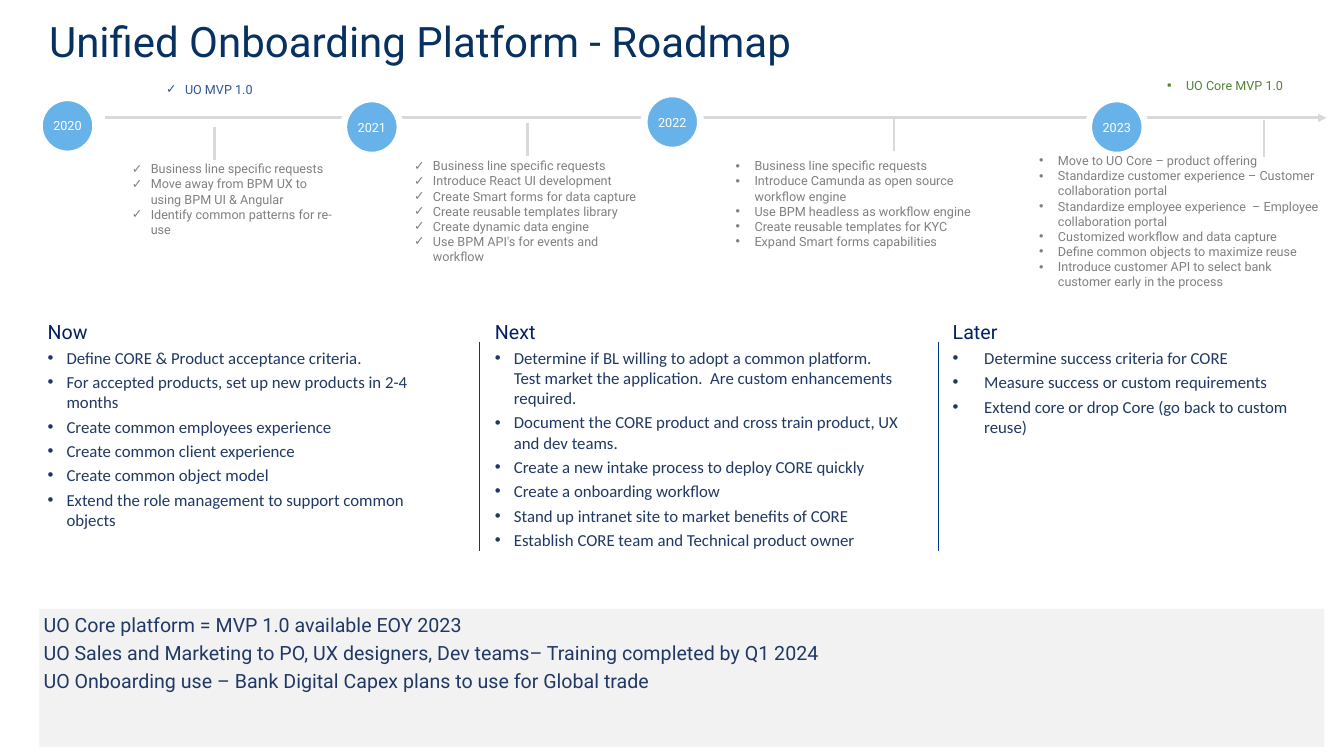
"""Build the roadmap slide: yearly timeline, now/next/later plans and a summary band."""
from lxml import etree
from pptx import Presentation
from pptx.dml.color import RGBColor
from pptx.enum.shapes import MSO_CONNECTOR, MSO_SHAPE
from pptx.enum.text import MSO_ANCHOR, PP_ALIGN
from pptx.oxml.ns import qn
from pptx.util import Pt

OVAL, RECT = MSO_SHAPE.OVAL, MSO_SHAPE.RECTANGLE
LINE = MSO_CONNECTOR.STRAIGHT
TOP, MIDDLE = MSO_ANCHOR.TOP, MSO_ANCHOR.MIDDLE
LEFT, CENTER = PP_ALIGN.LEFT, PP_ALIGN.CENTER

WHITE = RGBColor(0xFF, 0xFF, 0xFF)
NAVY = RGBColor(0x06, 0x31, 0x61)
HEAD = RGBColor(0x00, 0x20, 0x60)
INK = RGBColor(0x20, 0x38, 0x64)
RULE = RGBColor(0x00, 0x3C, 0x84)
SKY = RGBColor(0x67, 0xB2, 0xE8)
GRAY = RGBColor(0x80, 0x80, 0x80)
PALE = RGBColor(0xD9, 0xD9, 0xD9)
BAND = RGBColor(0xF2, 0xF2, 0xF2)
BLUE = RGBColor(0x2F, 0x55, 0x97)
GREEN = RGBColor(0x54, 0x82, 0x35)

TITLE = "Unified Onboarding Platform - Roadmap"

YEARS = [
    ("2020", 28.1, 69.8),
    ("2021", 245.5, 70.6),
    ("2022", 460.1, 67),
    ("2023", 777.6, 70.6),
]

TICKS = [(153.4, 90.7, 114.5), (376.6, 87.8, 111.6), (638.6, 84.2, 108), (902.9, 85.7, 112.3)]

STEPS = [
    (87.1, 111.6, 162, 73, "✓", GRAY, [
        "Business line specific requests",
        "Move away from BPM UX to using BPM UI & Angular",
        "Identify common patterns for re-use",
    ]),
    (288.7, 109.4, 183.6, 127, "✓", GRAY, [
        "Business line specific requests",
        "Introduce React UI development",
        "Create Smart forms for data capture",
        "Create reusable templates library",
        "Create dynamic data engine",
        "Use BPM API's for events and workflow",
    ]),
    (518.4, 109.4, 187.9, 105, "•", GRAY, [
        "Business line specific requests",
        "Introduce Camunda as open source workflow engine",
        "Use BPM headless as workflow engine",
        "Create reusable templates for KYC",
        "Expand Smart forms capabilities",
    ]),
    (735.1, 105.8, 213.8, 127, "•", GRAY, [
        "Move to UO Core – product offering",
        "Standardize customer experience – Customer collaboration portal",
        "Standardize employee experience  – Employee collaboration portal",
        "Customized workflow and data capture",
        "Define common objects to maximize reuse",
        "Introduce customer API to select bank customer early in the process",
    ]),
    (111.6, 54.7, 113, 18, "✓", BLUE, ["UO MVP 1.0"]),
    (826.6, 51.8, 106.6, 18, "▪", GREEN, ["UO Core MVP 1.0"]),
]

PLANS = [
    ("Now", 31, 289.4, 205, 13.5, [
        "Define CORE & Product acceptance criteria.",
        "For accepted products, set up new products in 2-4 months",
        "Create common employees experience",
        "Create common client experience",
        "Create common object model",
        "Extend the role management to support common objects",
    ]),
    ("Next", 350.6, 295.2, 188, 13.5, [
        "Determine if BL willing to adopt a common platform.  Test market the application."
        "  Are custom enhancements required.",
        "Document the CORE product and cross train product, UX and dev teams.",
        "Create a new intake process to deploy CORE quickly",
        "Create a onboarding workflow",
        "Stand up intranet site to market benefits of CORE",
        "Establish CORE team and Technical product owner",
    ]),
    ("Later", 677.5, 270, 157, 22.5, [
        "Determine success criteria for CORE",
        "Measure success or custom requirements",
        "Extend core or drop Core (go back to custom reuse)",
    ]),
]

NOTES = [
    "UO Core platform = MVP 1.0 available EOY 2023",
    "UO Sales and Marketing to PO, UX designers, Dev teams– Training completed by Q1 2024",
    "UO Onboarding use – Bank Digital Capex plans to use for Global trade",
]


def setup(shape, pad_x, pad_y, anchor=TOP):
    frame = shape.text_frame
    frame.word_wrap = True
    frame.vertical_anchor = anchor
    frame.margin_left = frame.margin_right = Pt(pad_x)
    frame.margin_top = frame.margin_bottom = Pt(pad_y)
    return frame


def add_box(slide, x, y, w, h, pad_x=7.2, pad_y=3.6):
    return setup(slide.shapes.add_textbox(Pt(x), Pt(y), Pt(w), Pt(h)), pad_x, pad_y)


def add_form(slide, kind, x, y, w, h, fill):
    shape = slide.shapes.add_shape(kind, Pt(x), Pt(y), Pt(w), Pt(h))
    shape.shadow.inherit = False
    shape.fill.solid()
    shape.fill.fore_color.rgb = fill
    shape.line.fill.background()
    return shape


def write(frame, rows, size, color, face="Roboto", after=0, mark=None, indent=0, align=LEFT):
    for row in rows:
        para = frame.paragraphs[0]
        if para.text:
            para = frame.add_paragraph()
        para.text = row
        para.alignment = align
        para.space_after = Pt(after)
        if mark:
            props = para._p.get_or_add_pPr()
            props.set("marL", str(Pt(indent)))
            props.set("indent", str(-Pt(indent)))
            etree.SubElement(props, qn("a:buFont")).set("typeface", "Arial")
            etree.SubElement(props, qn("a:buChar")).set("char", mark)
        para.font.name = face
        para.font.size = Pt(size)
        para.font.color.rgb = color


def add_line(slide, x1, y1, x2, y2, color, width, head=False):
    line = slide.shapes.add_connector(LINE, Pt(x1), Pt(y1), Pt(x2), Pt(y2))
    line.line.color.rgb = color
    line.line.width = Pt(width)
    if head:
        etree.SubElement(line.line._get_or_add_ln(), qn("a:tailEnd")).set("type", "triangle")
    etree.SubElement(line._element.spPr, qn("a:effectLst"))


def main():
    deck = Presentation()
    deck.slide_width, deck.slide_height = Pt(960), Pt(540)
    slide = deck.slides.add_slide(deck.slide_layouts[6])

    write(add_box(slide, 28, 7.2, 920, 41.8), [TITLE], 30, NAVY)

    add_line(slide, 74.9, 84.2, 947.5, 84.2, PALE, 2, head=True)
    for x, top, foot in TICKS:
        add_line(slide, x, top, x, foot, PALE, 2)
    for year, x, y in YEARS:
        disc = add_form(slide, OVAL, x, y, 40.3, 40.3, SKY)
        disc.line.color.rgb = WHITE
        disc.line.width = Pt(5)
        write(setup(disc, 0, 0, MIDDLE), [year], 9, WHITE, align=CENTER)
    for x, y, w, h, mark, color, rows in STEPS:
        write(add_box(slide, x, y, w, h), rows, 9, color, mark=mark, indent=13.5)

    for name, x, w, h, indent, rows in PLANS:
        frame = add_box(slide, x, 225.4, w, h, 3, 3)
        write(frame, [name], 14, HEAD, after=3)
        write(frame, rows, 12, INK, "Calibri", 3, "•", indent)
    for x in (342.7, 670.3):
        add_line(slide, x, 244.1, x, 393.8, RULE, 1)

    band = add_form(slide, RECT, 28.1, 434.9, 918, 98.6, BAND)
    write(setup(band, 3, 3), NOTES, 14, INK, after=3)

    deck.save("out.pptx")


if __name__ == "__main__":
    main()
